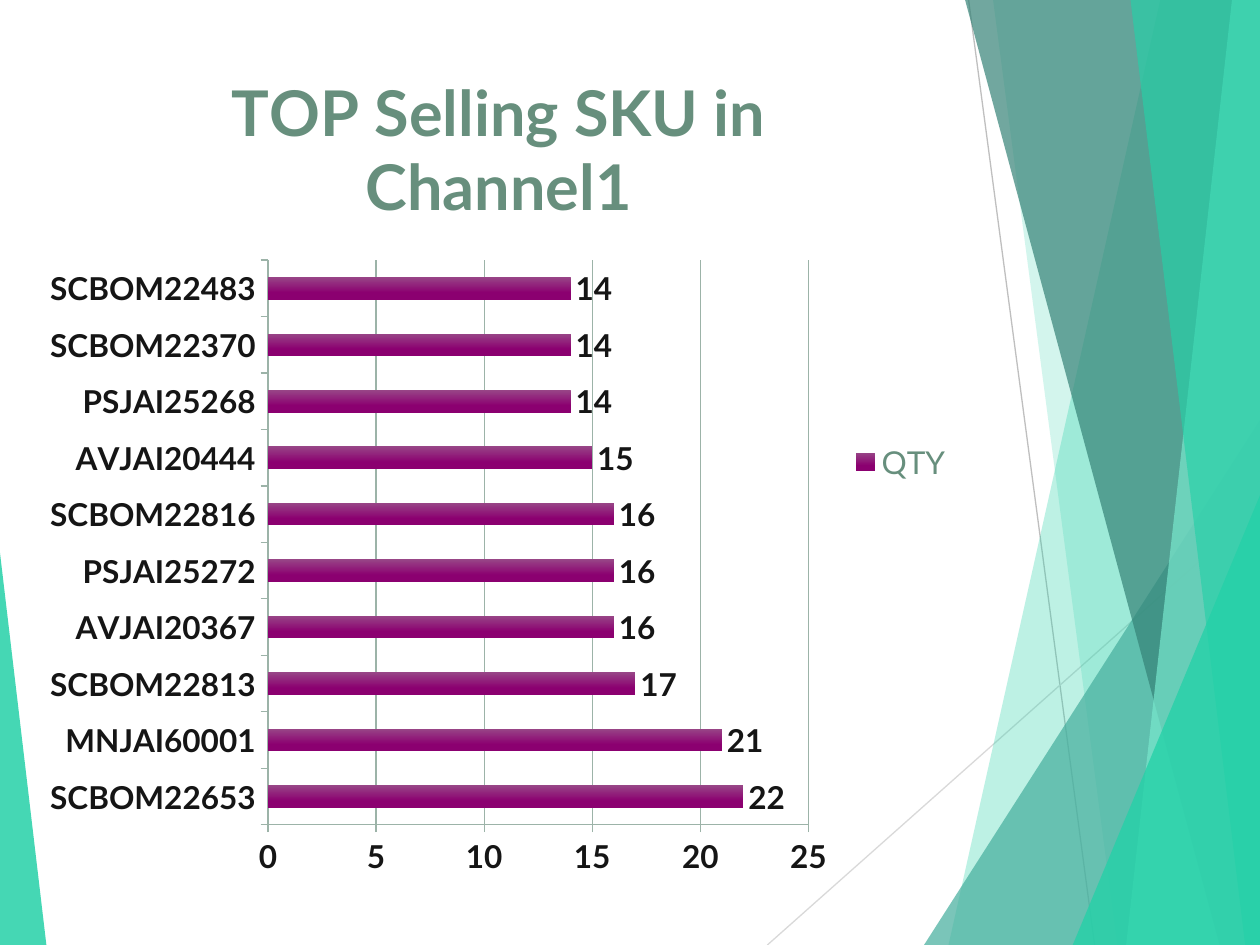
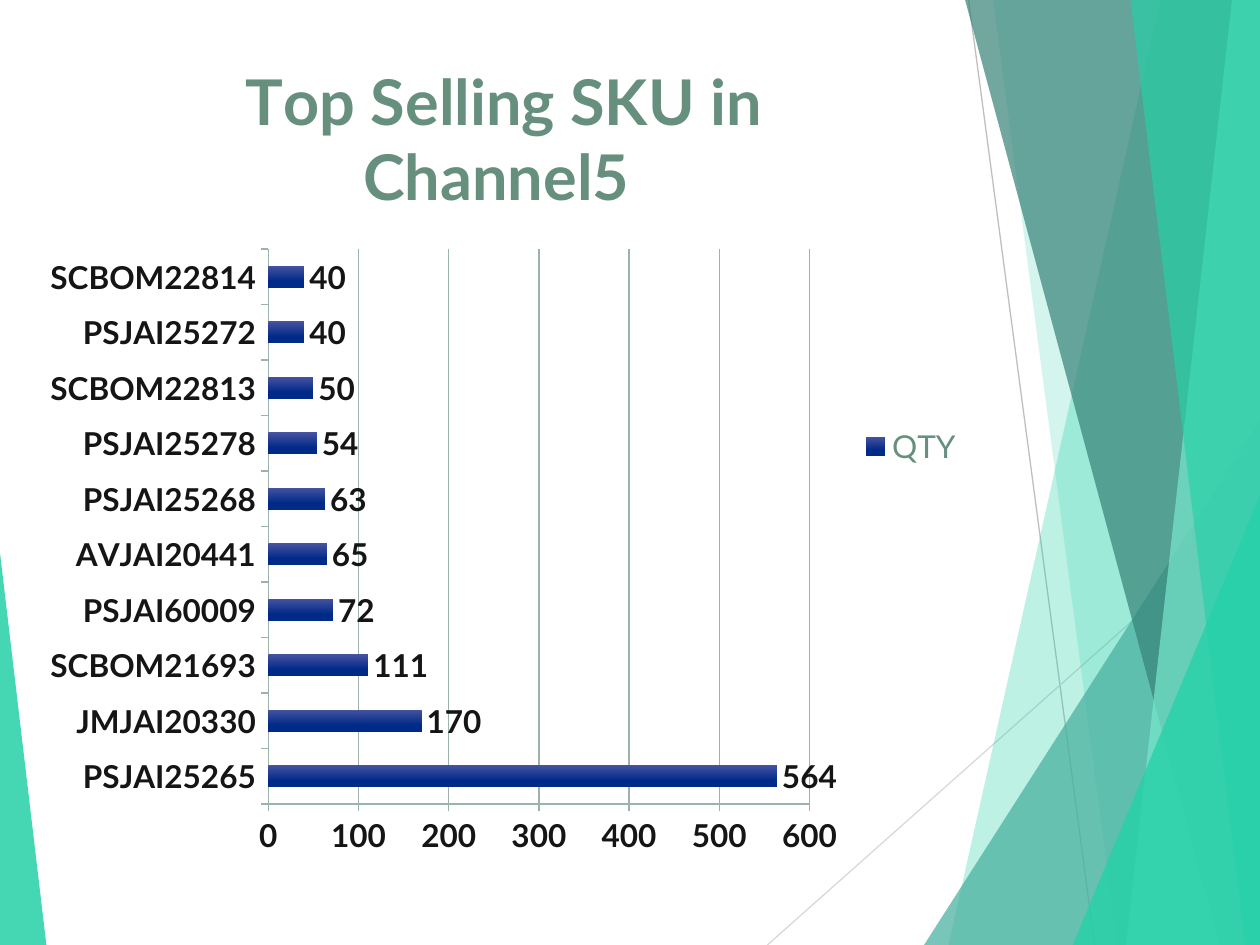
from lxml import etree
from pptx import Presentation
from pptx import util as u
from pptx.chart import data as chart_data
from pptx.dml import color as dml
from pptx.enum import chart as kinds
from pptx.enum import shapes
from pptx.oxml import ns

WIDTH, HEIGHT = 720, 540
MINT, SAGE, INK, GRID = "25D1A8", "678F7D", "151515", "9CB3A8"

CHANNELS = [
    dict(
        title="TOP Selling SKU in Channel1",
        frame=(18, 18, 534, 492),
        bars=("984687", "8B0070"),
        scale=(25, 5),
        sales=[
            ("SCBOM22653", 22), ("MNJAI60001", 21), ("SCBOM22813", 17),
            ("AVJAI20367", 16), ("PSJAI25272", 16), ("SCBOM22816", 16),
            ("AVJAI20444", 15), ("PSJAI25268", 14), ("SCBOM22370", 14),
            ("SCBOM22483", 14),
        ],
    ),
    dict(
        title="Top Selling SKU in Channel5 ",
        frame=(18, 12, 540, 486),
        bars=("4653A1", "002A88"),
        scale=(600, 100),
        sales=[
            ("PSJAI25265", 564), ("JMJAI20330", 170), ("SCBOM21693", 111),
            ("PSJAI60009", 72), ("AVJAI20441", 65), ("PSJAI25268", 63),
            ("PSJAI25278", 54), ("SCBOM22813", 50), ("PSJAI25272", 40),
            ("SCBOM22814", 40),
        ],
    ),
]


def rgb(value):
    return dml.RGBColor.from_string(value)


class Builder:
    font = "Lato"

    def __init__(self):
        self.deck = Presentation()
        self.deck.slide_width = u.Pt(WIDTH)
        self.deck.slide_height = u.Pt(HEIGHT)
        self.page = None

    def new_page(self):
        self.page = self.deck.slides.add_slide(self.deck.slide_layouts[6])
        self.backdrop()

    def style_text(self, font, size, color, bold=False):
        font.name = self.font
        font.size = u.Pt(size)
        font.bold = bold
        font.color.rgb = rgb(color)

    def paint(self, shape, color, opacity):
        shape.shadow.inherit = False
        shape.line.fill.background()
        shape.fill.solid()
        shape.fill.fore_color.rgb = rgb(color)
        tint = shape.fill._xPr.find(".//" + ns.qn("a:srgbClr"))
        etree.SubElement(tint, ns.qn("a:alpha")).set("val", str(opacity * 1000))

    def line(self, start, end, color):
        line = self.page.shapes.add_connector(
            shapes.MSO_CONNECTOR.STRAIGHT, *map(u.Pt, start + end))
        line.line.color.rgb = rgb(color)
        line.line.width = u.Pt(0.75)
        etree.SubElement(line._element.spPr, ns.qn("a:effectLst"))

    def band(self, top_x, bottom_x, color, opacity):
        outline = self.page.shapes.build_freeform(u.Pt(top_x), 0)
        corners = [(WIDTH, 0), (WIDTH, HEIGHT), (bottom_x, HEIGHT)]
        outline.add_line_segments(
            [(u.Pt(x), u.Pt(y)) for x, y in corners], close=True)
        self.paint(outline.convert_to_shape(), color, opacity)

    def triangle(self, left, top, width, peak, color, opacity):
        shape = self.page.shapes.add_shape(
            shapes.MSO_SHAPE.ISOSCELES_TRIANGLE,
            *map(u.Pt, (left, top, width, HEIGHT - top)))
        shape.adjustments[0] = peak
        self.paint(shape, color, opacity)

    def backdrop(self):
        self.line((553.5, 0), (625.5, HEIGHT), "BFBFBF")
        self.line((WIDTH, 290), (438.5, HEIGHT), "D9D9D9")
        self.band(663, 542, MINT, 30)
        self.band(567.5, 638.5, MINT, 20)
        self.triangle(528, 240, 192, 1, "47AF9E", 72)
        self.band(551.5, 697, "358377", 70)
        self.band(704, 643.5, "78E7CD", 70)
        self.band(646, 711.5, MINT, 65)
        self.triangle(613, 283, 107, 1, MINT, 80)
        self.triangle(0, 316, 26.5, 0, MINT, 85)

    def axis(self, axis):
        axis.major_tick_mark = kinds.XL_TICK_MARK.OUTSIDE
        axis.minor_tick_mark = kinds.XL_TICK_MARK.NONE
        axis.format.line.color.rgb = rgb(GRID)
        self.style_text(axis.tick_labels.font, 18, INK, bold=True)

    def bar_chart(self, title, frame, bars, scale, sales):
        table = chart_data.CategoryChartData()
        names, quantities = zip(*sales)
        table.categories = names
        table.add_series("QTY", quantities)
        chart = self.page.shapes.add_chart(
            kinds.XL_CHART_TYPE.BAR_CLUSTERED, *map(u.Pt, frame), table).chart
        self.style_text(chart.font, 18, SAGE)

        chart.has_title = True
        chart.chart_title.include_in_layout = False
        span = chart.chart_title.text_frame.paragraphs[0].add_run()
        span.text = title
        self.style_text(span.font, 36, SAGE, bold=True)

        chart.has_legend = True
        chart.legend.position = kinds.XL_LEGEND_POSITION.RIGHT
        chart.legend.include_in_layout = False

        self.axis(chart.category_axis)
        values = chart.value_axis
        self.axis(values)
        values.minimum_scale = 0
        values.maximum_scale, values.major_unit = scale
        values.has_major_gridlines = True
        values.major_gridlines.format.line.color.rgb = rgb(GRID)

        plot = chart.plots[0]
        plot.gap_width = 150
        plot.vary_by_categories = False
        plot.has_data_labels = True
        plot.data_labels.show_value = True
        plot.data_labels.position = kinds.XL_LABEL_POSITION.OUTSIDE_END
        self.style_text(plot.data_labels.font, 18, INK, bold=True)

        fill = plot.series[0].format.fill
        fill.gradient()
        fill.gradient_angle = 270
        for stop, color, position in zip(fill.gradient_stops, bars, (0, 0.7)):
            stop.color.rgb = rgb(color)
            stop.position = position


def main():
    builder = Builder()
    for channel in CHANNELS:
        builder.new_page()
        builder.bar_chart(**channel)
    builder.deck.save("out.pptx")


if __name__ == "__main__":
    main()
